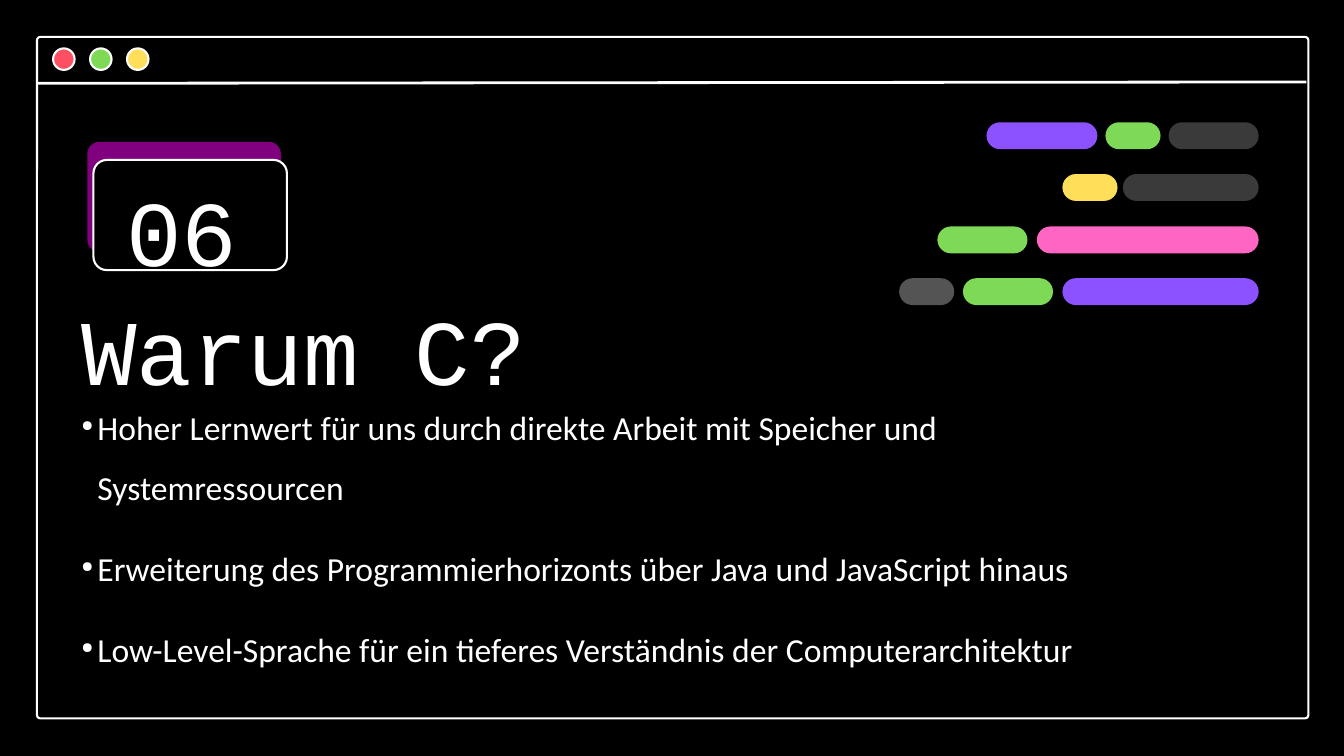
from dataclasses import dataclass

from lxml import etree
from pptx import Presentation
from pptx import util as u
from pptx.dml.color import RGBColor
from pptx.enum import shapes, text
from pptx.oxml import ns

PX = u.Inches(1) // 100


@dataclass(frozen=True)
class Theme:
    black: str = "000000"
    white: str = "FFFFFF"
    red: str = "FF4F63"
    green: str = "7ED957"
    yellow: str = "FFDE59"
    violet: str = "8C52FF"
    pink: str = "FF66C4"
    dark_gray: str = "3B3A3A"
    gray: str = "545454"
    purple: str = "800080"
    mono: str = "Courier New"
    sans: str = "Calibri"
    heading_size: float = 99.2
    bullet_size: float = 36
    outline: float = 2.25
    rule: float = 3


THEME = Theme()


@dataclass(frozen=True)
class Box:
    left: int
    top: int
    width: int
    height: int

    def emu(self) -> tuple[int, int, int, int]:
        return self.left * PX, self.top * PX, self.width * PX, self.height * PX


@dataclass(frozen=True)
class Pill:
    row: int
    left: int
    width: int
    color: str


WINDOW = Box(55, 55, 1892, 1014)
BUTTON_COLORS = (THEME.red, THEME.green, THEME.yellow)
PILL_HEIGHT = 40
PILL_TOPS = (182, 259, 337, 414)
PILLS = (
    Pill(0, 1468, 165, THEME.violet),
    Pill(0, 1645, 82, THEME.green),
    Pill(0, 1739, 134, THEME.dark_gray),
    Pill(1, 1581, 82, THEME.yellow),
    Pill(1, 1671, 202, THEME.dark_gray),
    Pill(2, 1395, 134, THEME.green),
    Pill(2, 1543, 330, THEME.pink),
    Pill(3, 1338, 82, THEME.gray),
    Pill(3, 1433, 134, THEME.green),
    Pill(3, 1581, 292, THEME.violet),
)
REASONS = (
    "Hoher Lernwert für uns durch direkte Arbeit mit Speicher und Systemressourcen",
    "Erweiterung des Programmierhorizonts über Java und JavaScript hinaus",
    "Low-Level-Sprache für ein tieferes Verständnis der Computerarchitektur",
)


def rgb(color: str) -> RGBColor:
    return RGBColor.from_string(color)


def add_rounded(parent, box: Box, radius: int, fill: str | None = None, outlined: bool = False):
    """Draw a rounded box; a radius of half the height gives a pill or a circle."""
    shape = parent.add_shape(shapes.MSO_SHAPE.ROUNDED_RECTANGLE, *box.emu())
    shape.adjustments[0] = radius / min(box.width, box.height)
    shape.shadow.inherit = False
    if fill:
        shape.fill.solid()
        shape.fill.fore_color.rgb = rgb(fill)
    else:
        shape.fill.background()
    if outlined:
        shape.line.color.rgb = rgb(THEME.white)
        shape.line.width = u.Pt(THEME.outline)
    else:
        shape.line.fill.background()


def add_text_frame(parent, box: Box):
    frame = parent.add_textbox(*box.emu()).text_frame
    frame.margin_left = frame.margin_top = frame.margin_right = frame.margin_bottom = 0
    frame.word_wrap = True
    frame.auto_size = text.MSO_AUTO_SIZE.SHAPE_TO_FIT_TEXT
    return frame


def style_paragraph(paragraph, font: str, size: float, spacing: float) -> None:
    paragraph.line_spacing = spacing
    paragraph.font.name = font
    paragraph.font.size = u.Pt(size)
    paragraph.font.color.rgb = rgb(THEME.white)


def add_heading(parent, box: Box, words: str) -> None:
    paragraph = add_text_frame(parent, box).paragraphs[0]
    paragraph.text = words
    style_paragraph(paragraph, THEME.mono, THEME.heading_size, 1.19)


def add_bullet(paragraph) -> None:
    properties = paragraph._p.get_or_add_pPr()
    properties.set("marL", str(24 * PX))
    properties.set("indent", str(-24 * PX))
    color = etree.SubElement(properties, ns.qn("a:buClr"))
    etree.SubElement(color, ns.qn("a:srgbClr"), val=THEME.white)
    etree.SubElement(properties, ns.qn("a:buSzPct"), val="45000")
    etree.SubElement(properties, ns.qn("a:buChar"), char="●")


def add_bullet_list(parent, box: Box, items: tuple[str, ...]) -> None:
    frame = add_text_frame(parent, box)
    for index, item in enumerate(items):
        paragraph = frame.add_paragraph() if index else frame.paragraphs[0]
        paragraph.text = item
        add_bullet(paragraph)
        style_paragraph(paragraph, THEME.sans, THEME.bullet_size, 1.5)
        paragraph.space_after = u.Pt(9.9)
        if index:
            paragraph.space_before = u.Pt(11.9)


def add_window(parent) -> None:
    """Draw the browser frame with its title rule and three buttons."""
    group = parent.add_group_shape().shapes
    add_rounded(group, WINDOW, 5, outlined=True)
    rule = group.add_connector(
        shapes.MSO_CONNECTOR.STRAIGHT, 55 * PX, 124 * PX, 1944 * PX, 122 * PX
    )
    rule.line.color.rgb = rgb(THEME.white)
    rule.line.width = u.Pt(THEME.rule)
    etree.SubElement(rule._element.spPr, ns.qn("a:effectLst"))
    for index, color in enumerate(BUTTON_COLORS):
        add_rounded(group, Box(79 + 55 * index, 72, 32, 32), 16, color, outlined=True)


def add_code_lines(parent) -> None:
    group = parent.add_group_shape().shapes
    for pill in PILLS:
        box = Box(pill.left, PILL_TOPS[pill.row], pill.width, PILL_HEIGHT)
        add_rounded(group, box, PILL_HEIGHT // 2, pill.color)


def add_number_badge(parent) -> None:
    group = parent.add_group_shape().shapes
    add_rounded(group, Box(130, 211, 288, 164), 18, THEME.purple)
    add_rounded(group, Box(139, 238, 288, 164), 20, THEME.black, outlined=True)
    add_heading(group, Box(188, 228, 189, 197), "06")


def main() -> None:
    deck = Presentation()
    deck.slide_width, deck.slide_height = 2000 * PX, 1125 * PX
    page = deck.slides.add_slide(deck.slide_layouts[6])
    page.background.fill.solid()
    page.background.fill.fore_color.rgb = rgb(THEME.black)
    add_window(page.shapes)
    add_heading(page.shapes, Box(121, 405, 1129, 197), "Warum C?")
    add_code_lines(page.shapes)
    add_bullet_list(page.shapes, Box(121, 575, 1566, 421), REASONS)
    add_number_badge(page.shapes)
    deck.save("out.pptx")


if __name__ == "__main__":
    main()
